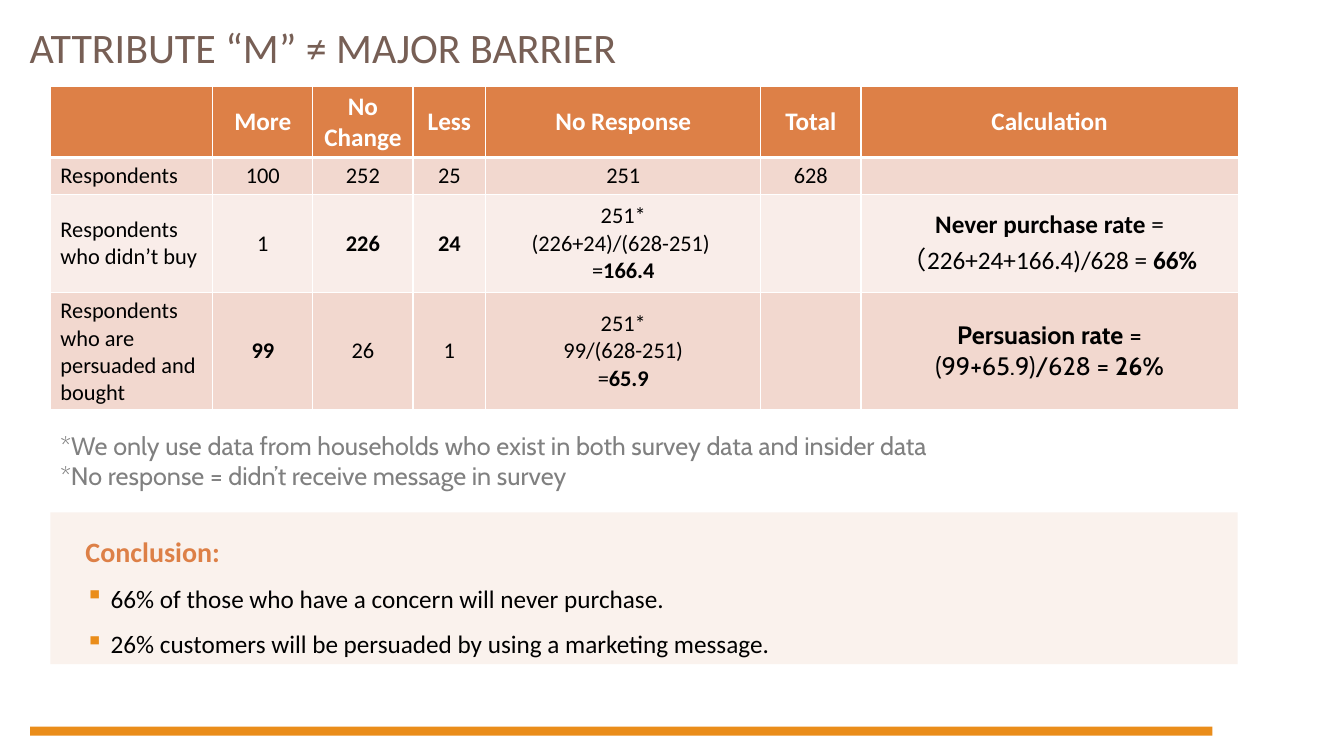
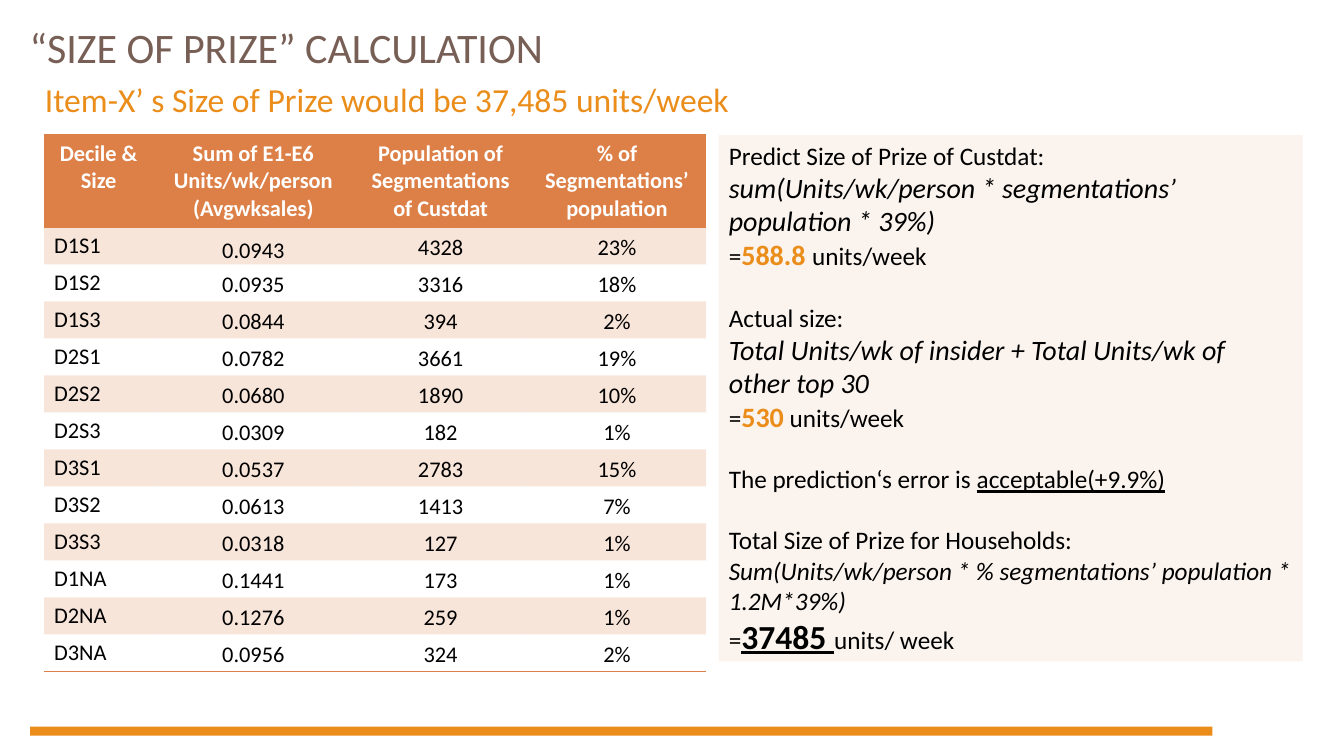
from lxml import etree
from pptx import Presentation
from pptx.dml.color import RGBColor
from pptx.enum import shapes, text
from pptx.oxml import ns
from pptx.util import Pt

COLORS = {
    "title": "775F55", "accent": "EA8D1A", "header": "DD8047", "white": "FFFFFF",
    "black": "000000", "note": "808080", "row_dark": "F2D8CF", "row_light": "F9EDE9",
    "conclusion": "F6E8DF", "panel": "F8E6DA",
}
FONT, NOTE_FONT = "Calibri", "Cabin"
PLAIN_TABLE = "{2D5ABB26-0587-4C30-8999-92F81FD0307C}"
CENTER, MIDDLE = text.PP_ALIGN.CENTER, text.MSO_ANCHOR.MIDDLE
SLIDE_SIZE = (960, 540)


# Shared helpers
def rgb(name):
    return RGBColor.from_string(COLORS[name])


def run(words, **look):
    return words, look


def bold(words, **look):
    return words, {"bold": True, **look}


def add_element(parent, tag, **attributes):
    return etree.SubElement(parent, ns.qn(tag), **attributes)


def paint(fill, element, color, alpha=100):
    """Fill a shape or cell, with its opacity in percent."""
    fill.solid()
    fill.fore_color.rgb = rgb(color)
    if alpha < 100:
        tint = element.find(".//" + ns.qn("a:srgbClr"))
        add_element(tint, "a:alpha", val=str(alpha * 1000))


def add_runs(para, runs, size=18, color="black", font=FONT, bold=False):
    base = {"size": size, "color": color, "font": font, "bold": bold}
    for item in [runs] if isinstance(runs, (str, tuple)) else runs:
        words, look = (item, {}) if isinstance(item, str) else item
        style = {**base, **look}
        span = para.add_run()
        span.text = words
        span.font.size = Pt(style["size"])
        span.font.name = style["font"]
        span.font.color.rgb = rgb(style["color"])
        span.font.bold = style["bold"]
        span.font.italic = style.get("italic", False)
        span.font.underline = style.get("underline", False)


def write(frame, paragraphs, align=text.PP_ALIGN.LEFT, **look):
    """Write paragraphs, each one a string, a run or a list of runs."""
    frame.word_wrap = True
    for index, runs in enumerate(paragraphs):
        para = frame.add_paragraph() if index else frame.paragraphs[0]
        para.alignment = align
        add_runs(para, runs, **look)
    return frame.paragraphs


def add_text(page, box, paragraphs, anchor=text.MSO_ANCHOR.TOP, **look):
    frame = page.shapes.add_textbox(*map(Pt, box)).text_frame
    frame.vertical_anchor = anchor
    return write(frame, paragraphs, **look)


def add_band(page, box, color, alpha=100):
    band = page.shapes.add_shape(shapes.MSO_SHAPE.RECTANGLE, *map(Pt, box))
    band.shadow.inherit = False
    band.line.fill.background()
    paint(band.fill, band.element.spPr, color, alpha)
    band.text_frame.vertical_anchor = text.MSO_ANCHOR.TOP
    return band.text_frame


def add_bullet(para, color):
    props = para._p.get_or_add_pPr()
    tint = add_element(props, "a:buClr")
    add_element(tint, "a:srgbClr", val=COLORS[color])
    add_element(props, "a:buChar", char="▪")


def add_grid(page, box, widths, heights):
    grid = page.shapes.add_table(len(heights), len(widths), *map(Pt, box)).table
    props = grid._tbl.tblPr
    props.find(ns.qn("a:tableStyleId")).text = PLAIN_TABLE
    grid.first_row = grid.horz_banding = False
    for column, width in zip(grid.columns, widths):
        column.width = Pt(width)
    for row, height in zip(grid.rows, heights):
        row.height = Pt(height)
    return grid


def add_borders(cell, color, **widths):
    """Draw cell borders; sides are given in the order L, R, T, B."""
    props = cell._tc.get_or_add_tcPr()
    for index, (side, width) in enumerate(widths.items()):
        line = etree.Element(ns.qn("a:ln" + side), w=str(Pt(width)))
        fill = add_element(line, "a:solidFill")
        add_element(fill, "a:srgbClr", val=COLORS[color])
        props.insert(index, line)


def add_page(deck, title):
    page = deck.slides.add_slide(deck.slide_layouts[6])
    add_band(page, (21.5, 519, 844.5, 6.5), "accent")
    add_text(page, (14, 5.5, 464, 56), [title], anchor=MIDDLE, size=30, color="title")
    return page


# Barrier slide
BARRIER_HEADER = ["", "More", "No Change", "Less", "No Response", "Total", "Calculation"]
BARRIER_ROWS = [
    ["Respondents", "100", "252", "25", "251", "628", ""],
    ["Respondents who didn’t buy", "1", bold("226"), bold("24"),
     ["251*", "(226+24)/(628-251) ", ["=", bold("166.4")]], "",
     [[bold("Never purchase rate ", size=18), run("=", size=18)],
      [run("（226+24+166.4)/628 = ", size=18), bold("66%", size=18)]]],
    ["Respondents who are persuaded and bought", bold("99"), "26", "1",
     ["251*", "99/(628-251)", ["=", bold("65.9")]], "",
     [[bold("Persuasion rate ", size=18, font=NOTE_FONT),
       run("=", size=18, font=NOTE_FONT)],
      [run("(99+65.9)/628 =", size=18, font=NOTE_FONT),
       bold(" 26%", size=18, font=NOTE_FONT)]]],
]


def add_barrier_table(page, box):
    widths = [116, 71.5, 71.5, 52, 196.5, 71.5, 269.5]
    grid = add_grid(page, box, widths, [50, 26.5, 70, 84])
    fills = ["header", "row_dark", "row_light", "row_dark"]
    for r, values in enumerate([BARRIER_HEADER] + BARRIER_ROWS):
        look = {"size": 16} if r else {"color": "white", "bold": True}
        for c, value in enumerate(values):
            cell = grid.cell(r, c)
            paint(cell.fill, cell._tc.get_or_add_tcPr(), fills[r])
            add_borders(cell, "white", L=1, R=1, T=3 if r == 1 else 1, B=1 if r else 3)
            cell.vertical_anchor = MIDDLE
            if value:
                lines = value if isinstance(value, list) else [value]
                align = CENTER if c or not r else text.PP_ALIGN.LEFT
                write(cell.text_frame, lines, align, **look)
            else:
                cell.margin_top = cell.margin_bottom = 0


def add_conclusion(page, box):
    frame = add_band(page, box, "conclusion", 54)
    heading, *points = write(frame, [
        bold("Conclusion:", size=20, color="header"),
        "66% of those who have a concern will never purchase.",
        "26% customers will be persuaded by using a marketing message.",
    ])
    heading._p.get_or_add_pPr().set("marL", str(Pt(18)))
    heading.line_spacing = 1.5
    for para in points:
        para.line_spacing = 1.5
        props = para._p.get_or_add_pPr()
        props.set("marL", str(Pt(36)))
        props.set("indent", str(Pt(-18)))
        add_bullet(para, "accent")


def build_barrier(deck):
    page = add_page(deck, "ATTRIBUTE “M” ≠ MAJOR BARRIER")
    add_text(page, (36, 304, 670, 51), [
        "*We only use data from households who exist in both survey data and insider data",
        "*No response = didn’t receive message in survey",
    ], color="note", font=NOTE_FONT)
    add_conclusion(page, (36, 366, 848, 108.5))
    add_barrier_table(page, (36, 62, 848.5, 230.5))


# Prize slide
PRIZE_HEADER = [
    ["Decile & Size"],
    ["Sum of E1-E6 Units/wk/person", "(Avgwksales)"],
    ["Population of Segmentations of Custdat"],
    ["% of Segmentations’ population"],
]
PRIZE_ROWS = [
    ("D1S1", "0.0943", "4328", "23%"),
    ("D1S2", "0.0935", "3316", "18%"),
    ("D1S3", "0.0844", "394", "2%"),
    ("D2S1", "0.0782", "3661", "19%"),
    ("D2S2", "0.0680", "1890", "10%"),
    ("D2S3", "0.0309", "182", "1%"),
    ("D3S1", "0.0537", "2783", "15%"),
    ("D3S2", "0.0613", "1413", "7%"),
    ("D3S3", "0.0318", "127", "1%"),
    ("D1NA", "0.1441", "173", "1%"),
    ("D2NA", "0.1276", "259", "1%"),
    ("D3NA", "0.0956", "324", "2%"),
]


def add_prize_table(page, box):
    grid = add_grid(page, box, [78, 143, 124.5, 127.5], [66] + [26.4] * len(PRIZE_ROWS))
    # Header row
    for c, lines in enumerate(PRIZE_HEADER):
        cell = grid.cell(0, c)
        paint(cell.fill, cell._tc.get_or_add_tcPr(), "header")
        add_borders(cell, "header", T=1, B=1)
        write(cell.text_frame, lines, CENTER, size=16, color="white", bold=True)
    # Segment rows
    for r, values in enumerate(PRIZE_ROWS, 1):
        for c, value in enumerate(values):
            cell = grid.cell(r, c)
            if r % 2:
                paint(cell.fill, cell._tc.get_or_add_tcPr(), "header", 20)
            else:
                cell.fill.background()
            if r == len(PRIZE_ROWS):
                add_borders(cell, "header", B=1)
            if c:
                cell.vertical_anchor = text.MSO_ANCHOR.BOTTOM
                cell.margin_left = cell.margin_right = Pt(3 if c == 2 else 0.7)
                cell.margin_top = Pt(2)
                cell.margin_bottom = Pt(0 if (r, c) == (1, 1) else 2)
            write(cell.text_frame, [value], CENTER if c else text.PP_ALIGN.LEFT, size=16)


def add_prize_panel(page, box):
    groups = [
        ["Predict Size of Prize of Custdat:",
         run("sum(Units/wk/person * segmentations’ population * 39%)", size=20, italic=True),
         ["=", bold("588.8 ", size=20, color="accent"), "units/week"]],
        ["Actual size:",
         run("Total Units/wk of insider + Total Units/wk of other top 30", size=20, italic=True),
         ["=", bold("530", size=20, color="accent"), " units/week"]],
        [["The prediction‘s error is ", run("acceptable(+9.9%)", underline=True)]],
        ["Total Size of Prize for Households:",
         run("Sum(Units/wk/person * % segmentations’ population * 1.2M*39%)", italic=True),
         ["=", bold("37485 ", size=24, underline=True), "units/ week"]],
    ]
    paragraphs = write(add_band(page, box, "panel", 44), sum(groups, []))
    start = 0
    for group in groups[:-1]:
        start += len(group)
        paragraphs[start].space_before = Pt(22)


def build_prize(deck):
    page = add_page(deck, "“SIZE OF PRIZE” CALCULATION")
    add_prize_table(page, (31.5, 96.5, 473, 382.8))
    add_prize_panel(page, (513.5, 96.5, 417, 376))
    subtitle, = add_text(page, (25, 56, 735, 33),
                         ["Item-X’ s Size of Prize would be 37,485 units/week"],
                         size=24, color="accent")
    subtitle.line_spacing = 0.9


def main():
    deck = Presentation()
    deck.slide_width, deck.slide_height = map(Pt, SLIDE_SIZE)
    build_barrier(deck)
    build_prize(deck)
    deck.save("out.pptx")


if __name__ == "__main__":
    main()
